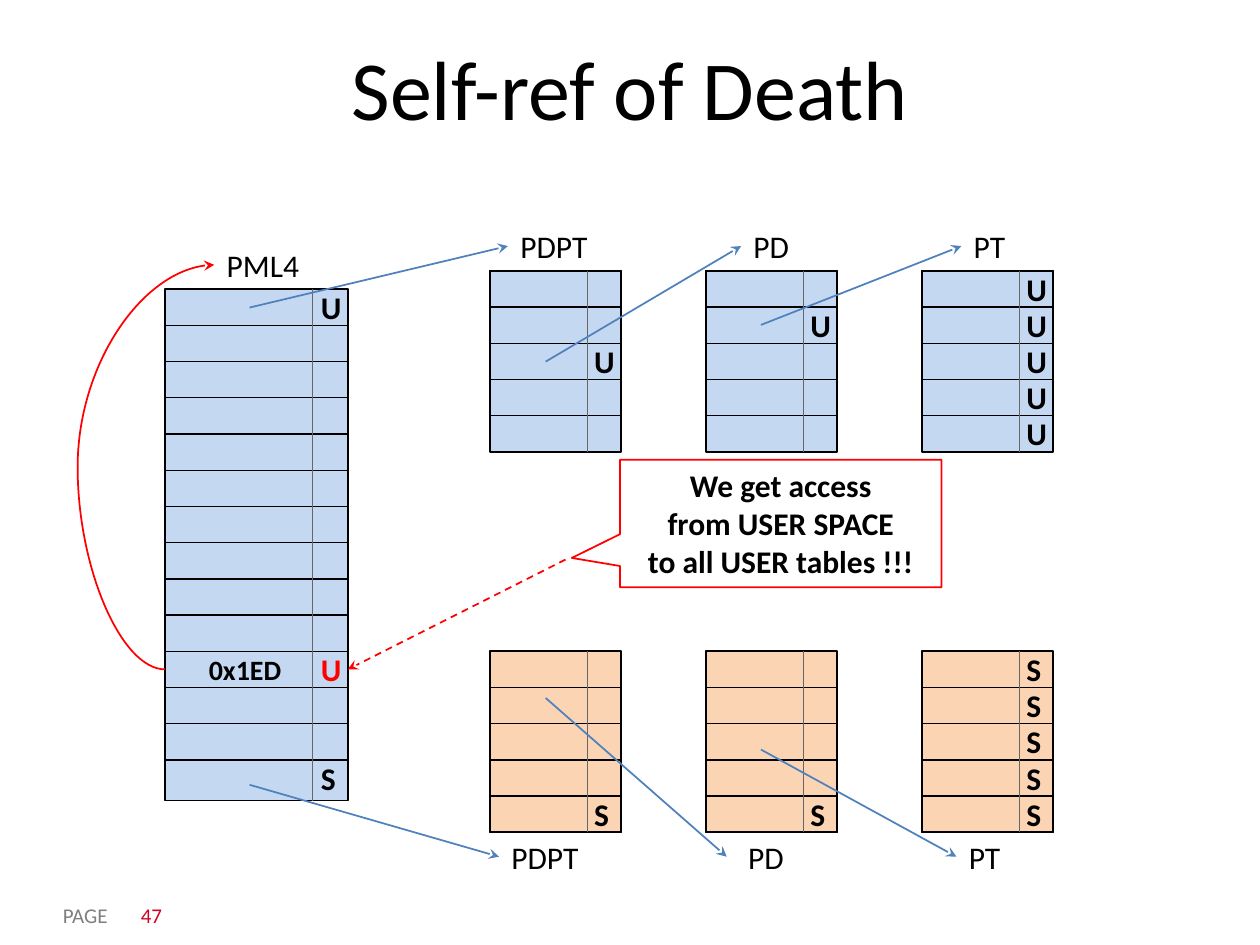
from lxml.etree import SubElement
from pptx import Presentation
from pptx.dml.color import RGBColor
from pptx.enum.dml import MSO_LINE
from pptx.enum.shapes import MSO_CONNECTOR, MSO_SHAPE
from pptx.enum.text import MSO_ANCHOR, MSO_AUTO_SIZE, PP_ALIGN
from pptx.oxml.ns import qn
from pptx.util import Cm, Pt

BLACK = RGBColor(0x00, 0x00, 0x00)
RED = RGBColor(0xFF, 0x00, 0x00)
BLUE = RGBColor(0x4F, 0x81, 0xBD)
GRAY = RGBColor(0x66, 0x66, 0x66)
FOOTER_GRAY = RGBColor(0x7F, 0x7F, 0x7F)
PAGE_RED = RGBColor(0xD2, 0x00, 0x25)
USER_FILL = RGBColor(0xC5, 0xD8, 0xF1)
SYSTEM_FILL = RGBColor(0xFB, 0xD4, 0xB4)
FONT = "Calibri"

TITLE = "Self-ref of Death"
WARNING = "We get access\nfrom USER SPACE\nto all USER tables !!!"
FOOTER = [
    ("PAGE", 1.02, 18.24, 2.29, 0.43, MSO_ANCHOR.MIDDLE, FOOTER_GRAY),
    ("47", 2.59, 18.08, 5.92, 0.74, MSO_ANCHOR.BOTTOM, PAGE_RED),
]

ROW = 0.73
SMALL_LEFT, SMALL_PITCH, SMALL_WIDTH, SMALL_SPLIT = 9.88, 4.355, 2.64, 1.96
USER_TOP, SYSTEM_TOP = 5.46, 13.13
LABEL_HEIGHT = 1.02
MARK_WIDTH, MARK_RISE = 0.79, 0.15
SELF_REF = 10

ROOT = {"left": 3.33, "top": 5.83, "width": 3.68, "height": 10.31, "split": 2.97,
        "rows": 13, "fill": USER_FILL, "marks": {0: "U", SELF_REF: "U", 13: "S"}}
SMALL_TABLES = [
    (USER_TOP, USER_FILL, [{2: "U"}, {1: "U"}, dict.fromkeys(range(5), "U")]),
    (SYSTEM_TOP, SYSTEM_FILL, [{4: "S"}, {4: "S"}, dict.fromkeys(range(5), "S")]),
]

ROOT_LABEL = ("PML4", 4.32, 4.83, 1.98)
USER_LABEL_TOP, SYSTEM_LABEL_TOP = 4.45, 16.76
POINTERS = [
    ("PDPT", 10.24, USER_LABEL_TOP, 1.88, (5.03, 6.2), 0),
    ("PD", 14.94, USER_LABEL_TOP, 1.24, (11, 7.29), 0),
    ("PT", 19.38, USER_LABEL_TOP, 1.14, (15.34, 6.55), 0),
    ("PDPT", 10.06, SYSTEM_LABEL_TOP, 1.88, (5.03, 15.82), 0),
    ("PD", 14.83, SYSTEM_LABEL_TOP, 1.24, (11, 14.07), 0.18),
    ("PT", 19.28, SYSTEM_LABEL_TOP, 1.14, (15.34, 15.11), 0),
]


def format_text(frame, size, color=BLACK, bold=False, align=PP_ALIGN.LEFT):
    for paragraph in frame.paragraphs:
        paragraph.alignment = align
        for run in paragraph.runs:
            run.font.name = FONT
            run.font.size = Pt(size)
            run.font.bold = bold
            run.font.color.rgb = color


def add_text(slide, text, left, top, width, height, size, color=BLACK, bold=False,
             anchor=MSO_ANCHOR.TOP):
    box = slide.shapes.add_textbox(Cm(left), Cm(top), Cm(width), Cm(height))
    frame = box.text_frame
    frame.text = text
    frame.word_wrap = False
    frame.vertical_anchor = anchor
    format_text(frame, size, color, bold)
    return box


def add_outline(slide, preset, left, top, width, height, color, weight, fill=None):
    shape = slide.shapes.add_shape(preset, Cm(left), Cm(top), Cm(width), Cm(height))
    shape.shadow.inherit = False
    if fill is None:
        shape.fill.background()
    else:
        shape.fill.solid()
        shape.fill.fore_color.rgb = fill
    shape.line.color.rgb = color
    shape.line.width = Pt(weight)
    return shape


def add_line(slide, start, end, color, weight=1, arrow=True, kind=MSO_CONNECTOR.STRAIGHT):
    line = slide.shapes.add_connector(kind, *map(Cm, start + end))
    line.line.color.rgb = color
    line.line.width = Pt(weight)
    if arrow:
        SubElement(line.line._get_or_add_ln(), qn("a:tailEnd"), type="stealth")
    SubElement(line._element.spPr, qn("a:effectLst"))
    return line


def add_page_table(slide, left, top, width, height, split, rows, fill, marks):
    add_outline(slide, MSO_SHAPE.RECTANGLE, left, top, width, height, BLACK, 1, fill)
    entries = [add_outline(slide, MSO_SHAPE.RECTANGLE, left, top + i * ROW, width, ROW,
                           BLACK, 0.75) for i in range(rows)]
    add_line(slide, (left + split, top), (left + split, top + height), GRAY, 0.75, arrow=False)
    for row, mark in marks.items():
        color = RED if row == SELF_REF else BLACK
        add_text(slide, mark, left + width - MARK_WIDTH, top + row * ROW - MARK_RISE,
                 MARK_WIDTH, LABEL_HEIGHT, 18, color, bold=True)
    return entries


def main():
    presentation = Presentation()
    presentation.slide_width, presentation.slide_height = Cm(25.4), Cm(19.05)
    slide = presentation.slides.add_slide(presentation.slide_layouts[5])

    title = slide.shapes.title
    title.left, title.top, title.width, title.height = Cm(1.27), Cm(1.14), Cm(22.86), Cm(1.75)
    title.text_frame.text = TITLE
    title.text_frame.auto_size = MSO_AUTO_SIZE.NONE
    title.text_frame.vertical_anchor = MSO_ANCHOR.BOTTOM
    format_text(title.text_frame, 48, align=PP_ALIGN.CENTER)

    for text, left, top, width, height, anchor, color in FOOTER:
        add_text(slide, text, left, top, width, height, 12, color, anchor=anchor)

    root_entries = add_page_table(slide, **ROOT)
    for top, fill, group in SMALL_TABLES:
        for column, marks in enumerate(group):
            add_page_table(slide, SMALL_LEFT + column * SMALL_PITCH, top, SMALL_WIDTH,
                           5 * ROW, SMALL_SPLIT, 5, fill, marks)

    for text, left, top, width, start, gap in POINTERS:
        label = add_text(slide, text, left, top, width, LABEL_HEIGHT, 18)
        pointer = add_line(slide, start, (left - gap, top + LABEL_HEIGHT / 2), BLUE)
        if not gap:
            pointer.end_connect(label, 1)

    text, label_left, label_top, label_width = ROOT_LABEL
    add_text(slide, text, label_left, label_top, label_width, LABEL_HEIGHT, 18)
    self_ref_y = ROOT["top"] + (SELF_REF + 0.5) * ROW
    add_text(slide, "0x1ED", 3.96, self_ref_y - 0.46, 1.98, 0.94, 16, bold=True)
    loop = add_line(slide, (ROOT["left"], self_ref_y),
                    (label_left, label_top + LABEL_HEIGHT / 2), RED, kind=MSO_CONNECTOR.CURVE)
    guides = loop._element.spPr.find(qn("a:prstGeom")).find(qn("a:avLst"))
    SubElement(guides, qn("a:gd"), name="adj1", fmla="val -178200")

    access = add_line(slide, (11.4, 11.28), (ROOT["left"] + ROOT["width"], self_ref_y), RED)
    access.line.dash_style = MSO_LINE.DASH
    access.end_connect(root_entries[SELF_REF], 3)

    warning = add_outline(slide, MSO_SHAPE.RECTANGULAR_CALLOUT, 12.5, 9.27, 6.48, 2.57, RED, 1)
    warning.adjustments[0], warning.adjustments[1] = -0.65, 0.27
    warning.text_frame.text = WARNING
    warning.text_frame.word_wrap = False
    warning.text_frame.vertical_anchor = MSO_ANCHOR.TOP
    format_text(warning.text_frame, 18, bold=True, align=PP_ALIGN.CENTER)

    presentation.save("out.pptx")


if __name__ == "__main__":
    main()
